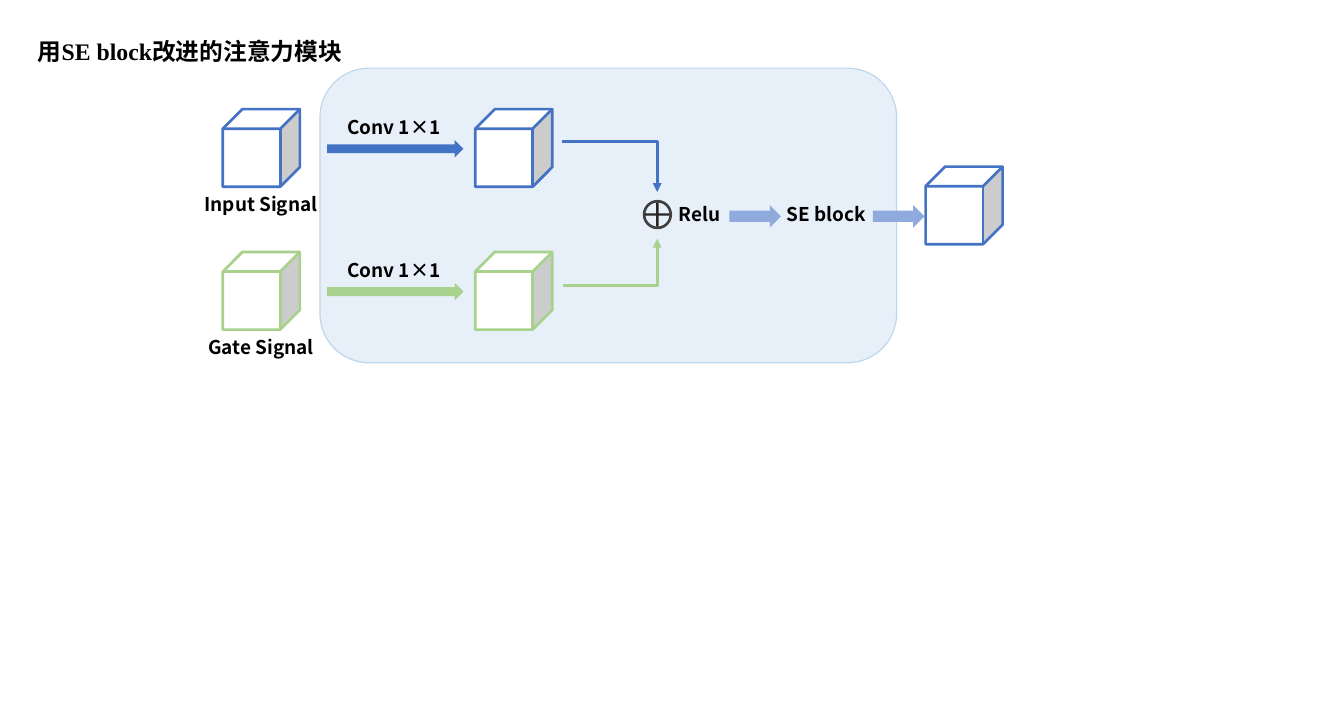
"""Draw an attention module improved with an SE block."""
from pptx import Presentation
from pptx.dml.color import RGBColor
from pptx.enum.shapes import MSO_CONNECTOR as Link, MSO_SHAPE as Kind
from pptx.enum.text import MSO_AUTO_SIZE as Fit, PP_ALIGN as Align
from pptx.oxml.ns import qn
from pptx.oxml.xmlchemy import OxmlElement as Node
from pptx.util import Pt

HUES = {
    "blue": "4472C4", "green": "A9D18E", "pale": "8FAADC",
    "panel": "DEEBF7", "edge": "BDD7EE", "white": "FFFFFF",
    "ring": "404040", "plus": "262626", "black": "000000",
}
SANS = "Noto Sans CJK SC"
SERIF = "Times New Roman"
ROW = 120.5


def hue(name):
    return RGBColor.from_string(HUES[name])


def add_block(shapes, kind, box, fill=None, line=None, width=2.25, adj=None):
    block = shapes.add_shape(kind, *map(Pt, box))
    block.shadow.inherit = False
    if fill:
        block.fill.solid()
        block.fill.fore_color.rgb = hue(fill)
    else:
        block.fill.background()
    if line:
        block.line.color.rgb = hue(line)
        block.line.width = Pt(width)
    else:
        block.line.fill.background()
    if adj is not None:
        block.adjustments[0] = adj
    return block


def add_panel(shapes):
    panel = add_block(shapes, Kind.ROUNDED_RECTANGLE, (270, 57.5, 486.5, 248.5),
                      "panel", "edge", 1)
    alpha = Node("a:alpha")
    alpha.set("val", "70000")
    panel.fill._xPr.find(qn("a:solidFill"))[0].append(alpha)


def add_cube(shapes, left, top, line):
    add_block(shapes, Kind.CUBE, (left, top, 65, 65.5), "white", line, adj=0.255)


def add_arrow(shapes, box, fill):
    add_block(shapes, Kind.RIGHT_ARROW, box, fill)


def add_label(shapes, text, box, size=16, font=SANS, align=Align.CENTER):
    frame = shapes.add_textbox(*map(Pt, box)).text_frame
    frame.word_wrap = True
    frame.auto_size = Fit.SHAPE_TO_FIT_TEXT
    frame.text = text
    para = frame.paragraphs[0]
    para.alignment = align
    run = para.runs[0]
    run.font.name = font
    run.font.size = Pt(size)
    run.font.bold = True
    run.font.color.rgb = hue("black")
    asian = Node("a:ea")
    asian.set("typeface", SANS)
    run.font._element.find(qn("a:latin")).addnext(asian)


def add_bend(shapes, ends, color):
    bend = shapes.add_connector(Link.ELBOW, *map(Pt, ends))
    bend.line.color.rgb = hue(color)
    bend.line.width = Pt(2.5)
    props = bend._element.spPr
    props.find(qn("a:prstGeom")).set("prst", "bentConnector2")
    tail = Node("a:tailEnd")
    tail.set("type", "triangle")
    props.find(qn("a:ln")).append(tail)
    props.append(Node("a:effectLst"))


def add_sum(shapes):
    parts = shapes.add_group_shape().shapes
    add_block(parts, Kind.OVAL, (543.5, 169.75, 22.5, 22.5), line="ring")
    add_block(parts, Kind.MATH_PLUS, (540.75, 167, 28, 28), "plus", adj=0.072)


def add_branch(shapes, index, name, color):
    drop = index * ROW
    for left in (188, 401):
        add_cube(shapes, left, 92 + drop, color)
    add_arrow(shapes, (276, 118 + drop, 115, 15), color)
    add_label(shapes, "Conv 1×1", (280, 94 + drop, 104.5, 26.5))
    add_label(shapes, name, (159, 159 + drop, 122.5, 26.5))


def main():
    deck = Presentation()
    deck.slide_width, deck.slide_height = Pt(1134), Pt(595.5)
    shapes = deck.slides.add_slide(deck.slide_layouts[6]).shapes
    add_panel(shapes)
    add_label(shapes, "用SE block改进的注意力模块", (25, 27.5, 335.5, 31.5),
              20, SERIF, Align.LEFT)
    add_branch(shapes, 0, "Input Signal", "blue")
    add_branch(shapes, 1, "Gate Signal", "green")
    add_bend(shapes, (474, 119, 554.5, 162), "blue")
    add_bend(shapes, (475, 241, 554.5, 201.5), "green")
    add_sum(shapes)
    add_label(shapes, "Relu", (565, 167.5, 50.5, 26.5))
    add_label(shapes, "SE block", (645, 167.5, 104.5, 26.5))
    for left in (615.5, 736.5):
        add_arrow(shapes, (left, 173, 43.5, 19), "pale")
    add_cube(shapes, 781, 140.5, "blue")
    deck.save("out.pptx")


if __name__ == "__main__":
    main()
